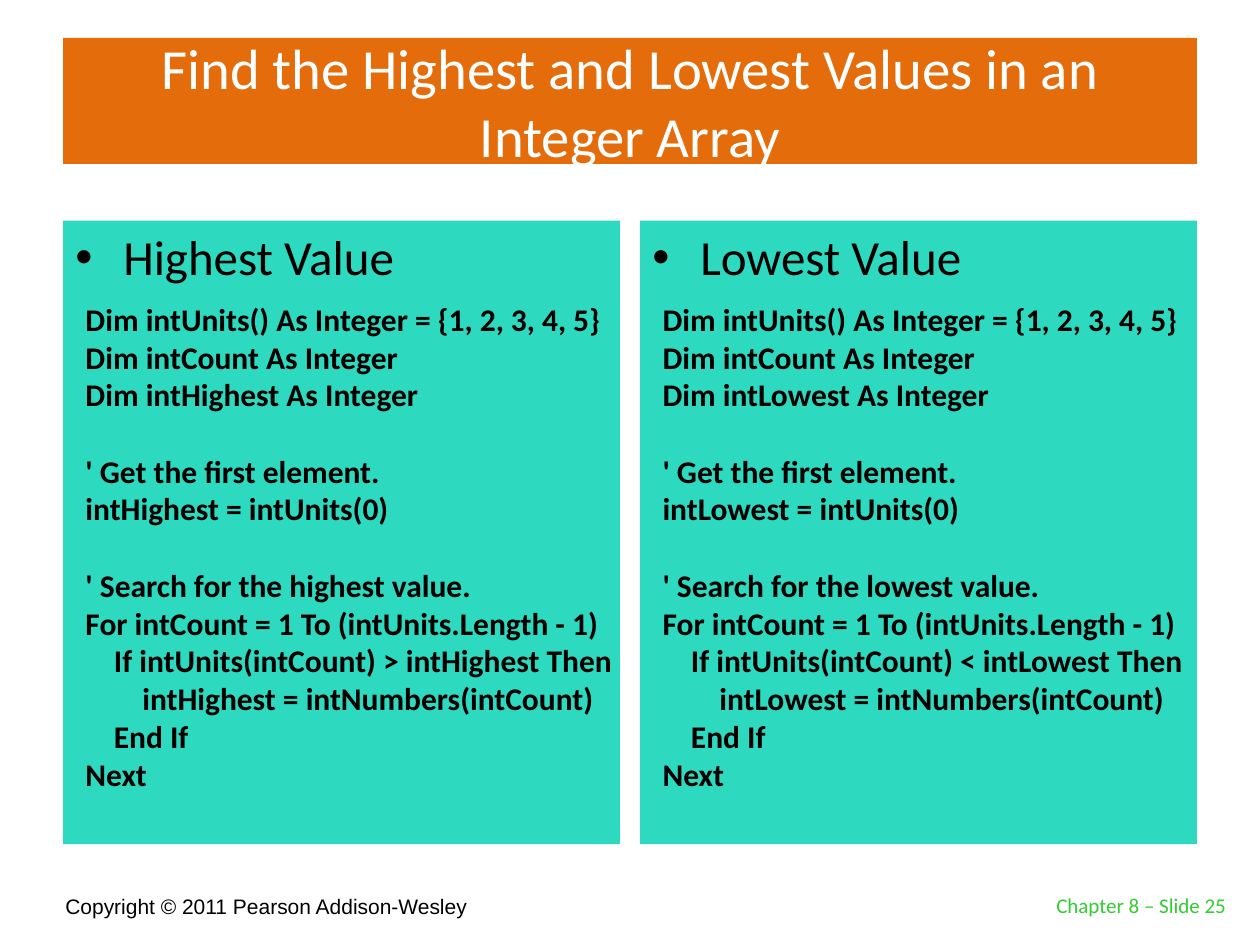
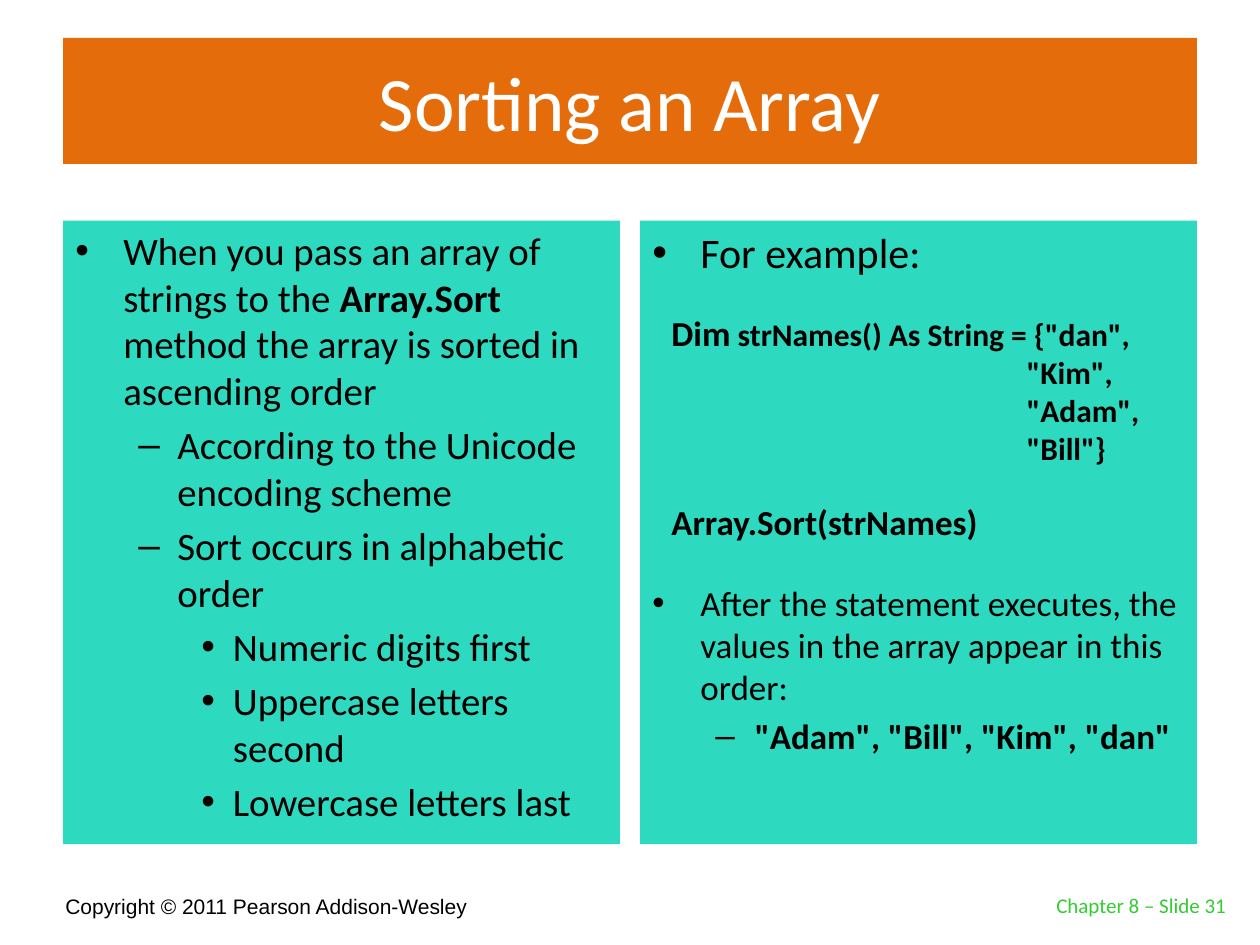
import dataclasses

import pptx
import pptx.dml.color
import pptx.enum.shapes
import pptx.enum.text
import pptx.oxml
import pptx.oxml.ns
import pptx.util

ALIGN = pptx.enum.text.PP_ALIGN
ANCHOR = pptx.enum.text.MSO_ANCHOR
SLIDE_W, SLIDE_H = pptx.util.Inches(10), pptx.util.Inches(7.5)
CELL = SLIDE_W // 10  # square grid cell: 10 columns by 7.5 rows


@dataclasses.dataclass(frozen=True)
class Theme:
    band: str = "E46C0A"
    panel: str = "2DD9BF"
    ink: str = "000000"
    title_ink: str = "FFFFFF"
    number_ink: str = "33CC33"
    font: str = "Calibri"
    footer_font: str = "Arial"
    title: float = 44
    long_title: float = 32.4
    heading: float = 28
    subheading: float = 24
    outline: float = 22.2
    body: float = 20
    code: float = 18
    footer: float = 12
    line_height: float = 1.22


THEME = Theme()

MARGIN, GUTTER = 0.5, 0.16
PANEL_W = (10 - 2 * MARGIN - GUTTER) / 2
PANEL_X = [MARGIN, MARGIN + PANEL_W + GUTTER]
PANEL_Y, PANEL_H = 1.75, 4.95
CODE_Y = 2.33

# Bullet character, left margin and hanging indent for each outline level
LEVELS = [("•", 0.38, 0.38), ("–", 0.81, 0.31), ("•", 1.25, 0.25)]

SEARCH_CODE = """Dim intUnits() As Integer = {1, 2, 3, 4, 5}
Dim intCount As Integer
Dim int@Name As Integer

' Get the first element.
int@Name = intUnits(0)

' Search for the @word value.
For intCount = 1 To (intUnits.Length - 1)
    If intUnits(intCount) @sign int@Name Then
        int@Name = intNumbers(intCount)
    End If
Next"""


def rgb(value):
    return pptx.dml.color.RGBColor.from_string(value)


def grid(*cells):
    return [round(c * CELL) for c in cells]


def set_bullet(p, level):
    char, left, hang = LEVELS[level]
    p.level = level
    pPr = p._p.get_or_add_pPr()
    pPr.set("marL", str(round(left * CELL)))
    pPr.set("indent", str(round(-hang * CELL)))
    for tag, attr, value in (("buFont", "typeface", THEME.footer_font),
                             ("buChar", "char", char)):
        bullet = pptx.oxml.parse_xml(
            f'<a:{tag} {pptx.oxml.ns.nsdecls("a")}/>')
        bullet.set(attr, value)
        pPr.append(bullet)


def write(tf, text, size=THEME.body, color=THEME.ink, font=THEME.font,
          bold=False, align=ALIGN.LEFT, level=None, before=0):
    """Add one paragraph; text is a string or a list of (string, format) runs."""
    first = not tf.text
    p = tf.paragraphs[0] if first else tf.add_paragraph()
    p.alignment = align
    p.space_before = pptx.util.Pt(0 if first else round(before, 1))
    if level is not None:
        set_bullet(p, level)
    for part, fmt in [(text, {})] if isinstance(text, str) else text:
        r = p.add_run()
        r.text = part
        r.font.name = font
        r.font.size = pptx.util.Pt(fmt.get("size", size))
        r.font.bold = fmt.get("bold", bold)
        r.font.color.rgb = rgb(color)


def add_text_box(slide, x, y, w, h, anchor=ANCHOR.TOP):
    tf = slide.shapes.add_textbox(*grid(x, y, w, h)).text_frame
    tf.word_wrap = True
    tf.vertical_anchor = anchor
    return tf


def add_panel(slide, column):
    sp = slide.shapes.add_shape(
        pptx.enum.shapes.MSO_SHAPE.RECTANGLE,
        *grid(PANEL_X[column], PANEL_Y, PANEL_W, PANEL_H))
    sp.shadow.inherit = False
    sp.fill.solid()
    sp.fill.fore_color.rgb = rgb(THEME.panel)
    sp.line.fill.background()
    tf = sp.text_frame
    tf.word_wrap = True
    tf.vertical_anchor = ANCHOR.TOP
    return tf


def add_code(slide, x, y, w, h, code, size=THEME.code):
    """Place code line by line, turning empty lines into paragraph spacing."""
    tf = add_text_box(slide, x, y, w, h)
    gap = 0
    for line in code.split("\n"):
        if line:
            write(tf, line, size=size, bold=True, before=gap)
            gap = 0
        else:
            gap += size * THEME.line_height
    return tf


def add_titled_slide(prs, title, number, size=THEME.title):
    slide = prs.slides.add_slide(prs.slide_layouts.get_by_name("Title Only"))
    sp = slide.shapes.title
    sp.left, sp.top, sp.width, sp.height = grid(MARGIN, 0.3, 10 - 2 * MARGIN, 1)
    sp.fill.solid()
    sp.fill.fore_color.rgb = rgb(THEME.band)
    tf = sp.text_frame
    tf.word_wrap = True
    tf.auto_size = pptx.enum.text.MSO_AUTO_SIZE.NONE
    tf.vertical_anchor = ANCHOR.MIDDLE
    write(tf, title, size=size, color=THEME.title_ink, align=ALIGN.CENTER)

    write(add_text_box(slide, 0.42, 6.92, 6.08, 0.42, ANCHOR.BOTTOM),
          "Copyright © 2011 Pearson Addison-Wesley",
          size=THEME.footer, font=THEME.footer_font)
    write(add_text_box(slide, 7.75, 6.83, 2.08, 0.5, ANCHOR.BOTTOM),
          f"Chapter 8 – Slide {number}", size=THEME.footer,
          color=THEME.number_ink, align=ALIGN.RIGHT)
    return slide


def build_search_slide(prs):
    slide = add_titled_slide(
        prs, "Find the Highest and Lowest Values in an Integer Array", 25,
        size=THEME.long_title)
    for column, (name, sign) in enumerate([("Highest", ">"), ("Lowest", "<")]):
        write(add_panel(slide, column), f"{name} Value",
              size=THEME.heading, level=0)
        code = (SEARCH_CODE.replace("@Name", name)
                .replace("@word", name.lower()).replace("@sign", sign))
        add_code(slide, PANEL_X[column] + 0.08, CODE_Y, PANEL_W, 4.04, code)


def build_sorting_slide(prs):
    slide = add_titled_slide(prs, "Sorting an Array", 31)

    outline = [
        (0, [("When you pass an array of strings to the ", {}),
             ("Array.Sort", {"bold": True}),
             (" method the array is sorted in ascending order", {})]),
        (1, "According to the Unicode encoding scheme"),
        (1, "Sort occurs in alphabetic order"),
        (2, "Numeric digits first"),
        (2, "Uppercase letters second"),
        (2, "Lowercase letters last"),
    ]
    tf = add_panel(slide, 0)
    for level, text in outline:
        write(tf, text, size=THEME.outline, level=level,
              before=0.2 * THEME.outline)

    tf = add_panel(slide, 1)
    write(tf, "For example:", size=THEME.subheading, level=0)
    write(tf, "After the statement executes, the values in the array "
              "appear in this order:", level=0, before=174)
    write(tf, '"Adam", "Bill", "Kim", "dan"', bold=True, level=1,
          before=0.2 * THEME.body)

    code_x = PANEL_X[1] + 0.15
    tf = add_text_box(slide, code_x, 2.42, 4.12, 1.35)
    write(tf, [("Dim", {"size": THEME.body}),
               (' strNames() As String = {"dan",', {})],
          size=THEME.code, bold=True)
    for item in ('"Kim",', '"Adam",', '"Bill"}'):
        write(tf, " " * 50 + item, size=THEME.code, bold=True)
    add_code(slide, code_x, 3.92, 2.9, 0.44, "Array.Sort(strNames)",
             size=THEME.body)


def main():
    prs = pptx.Presentation()
    prs.slide_width, prs.slide_height = SLIDE_W, SLIDE_H
    build_search_slide(prs)
    build_sorting_slide(prs)
    prs.save("out.pptx")


if __name__ == "__main__":
    main()
